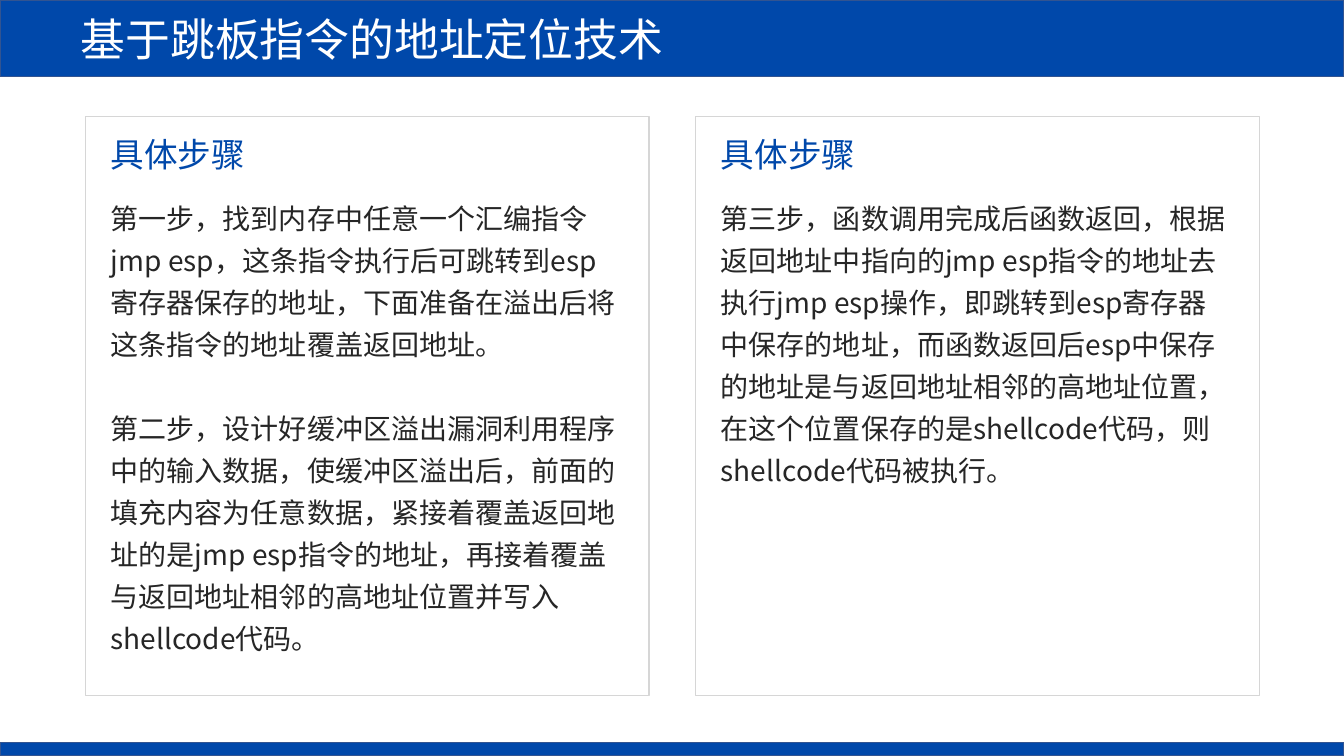
from lxml.etree import SubElement
from pptx import Presentation
from pptx.dml.color import RGBColor
from pptx.enum.shapes import MSO_SHAPE as Preset
from pptx.enum.text import MSO_ANCHOR as Anchor, MSO_AUTO_SIZE as AutoSize, PP_ALIGN as Align
from pptx.oxml.ns import qn
from pptx.util import Pt

BLUE = RGBColor(0x00, 0x48, 0xAA)
EDGE_BLUE = RGBColor(0x32, 0x54, 0x91)
PALE_GREY = RGBColor(0xD6, 0xD6, 0xD6)
DARK_GREY = RGBColor(0x26, 0x26, 0x26)
WHITE = RGBColor(0xFF, 0xFF, 0xFF)

SLIDE_WIDTH, SLIDE_HEIGHT = 960, 540
CARD_LEFT, CARD_TOP, CARD_PITCH = 61.2, 83, 435.8
CARD_WIDTH, CARD_HEIGHT = 402.5, 413.6
TEXT_INDENT = 10.8

TITLE = "基于跳板指令的地址定位技术"
HEADING = "具体步骤"
CARDS = [
    [
        "第一步，找到内存中任意一个汇编指令jmp esp，这条指令执行后可跳转到esp寄存器保存的地址，"
        "下面准备在溢出后将这条指令的地址覆盖返回地址。",
        "第二步，设计好缓冲区溢出漏洞利用程序中的输入数据，使缓冲区溢出后，前面的填充内容为任意数据，"
        "紧接着覆盖返回地址的是jmp esp指令的地址，再接着覆盖与返回地址相邻的高地址位置并写入shellcode代码。",
    ],
    [
        "第三步，函数调用完成后函数返回，根据返回地址中指向的jmp esp指令的地址去执行jmp esp操作，"
        "即跳转到esp寄存器中保存的地址，而函数返回后esp中保存的地址是与返回地址相邻的高地址位置，"
        "在这个位置保存的是shellcode代码，则shellcode代码被执行。",
    ],
]


class SlideBuilder:
    font_name = "Noto Sans CJK SC"
    line_height = Pt(30)

    def __init__(self, slide):
        self.slide = slide

    def style(self, paragraph, size, color):
        paragraph.alignment = Align.LEFT
        font = paragraph.font
        font.name = self.font_name
        font.size = Pt(size)
        font.color.rgb = color
        properties = paragraph._p.pPr.find(qn("a:defRPr"))
        SubElement(properties, qn("a:ea")).set("typeface", self.font_name)

    def rectangle(self, left, top, width, height, line, fill=None):
        shape = self.slide.shapes.add_shape(
            Preset.RECTANGLE, Pt(left), Pt(top), Pt(width), Pt(height))
        shape.shadow.inherit = False
        if fill is None:
            shape.fill.background()
        else:
            shape.fill.solid()
            shape.fill.fore_color.rgb = fill
        shape.line.color.rgb = line
        shape.line.width = Pt(1)
        return shape

    def title_bar(self, text, height):
        frame = self.rectangle(0, 0, SLIDE_WIDTH, height, EDGE_BLUE, BLUE).text_frame
        frame.vertical_anchor = Anchor.MIDDLE
        frame.margin_left = Pt(57.6)
        frame.text = text
        self.style(frame.paragraphs[0], 32, WHITE)

    def text(self, left, top, width, height, texts, size, color, wrap=True):
        box = self.slide.shapes.add_textbox(Pt(left), Pt(top), Pt(width), Pt(height))
        frame = box.text_frame
        frame.word_wrap = wrap
        frame.auto_size = AutoSize.SHAPE_TO_FIT_TEXT
        frame.text = "\n".join(texts)
        for index, paragraph in enumerate(frame.paragraphs):
            paragraph.line_spacing = self.line_height
            if index:
                paragraph.space_before = self.line_height
            self.style(paragraph, size, color)

    def card(self, left, heading, steps, body_height):
        self.rectangle(left, CARD_TOP, CARD_WIDTH, CARD_HEIGHT, PALE_GREY)
        text_left = left + TEXT_INDENT
        self.text(text_left, 90.7, 111.6, 36, [heading], 24, BLUE, wrap=False)
        self.text(text_left, 134.3, 380.2, body_height, steps, 20, DARK_GREY)


def main():
    presentation = Presentation()
    presentation.slide_width = Pt(SLIDE_WIDTH)
    presentation.slide_height = Pt(SLIDE_HEIGHT)
    builder = SlideBuilder(presentation.slides.add_slide(presentation.slide_layouts[6]))
    builder.title_bar(TITLE, 54.7)
    builder.rectangle(0, 530.6, SLIDE_WIDTH, 9.4, EDGE_BLUE, BLUE)
    for index, (steps, body_height) in enumerate(zip(CARDS, (337.7, 247))):
        builder.card(CARD_LEFT + index * CARD_PITCH, HEADING, steps, body_height)
    presentation.save("out.pptx")


if __name__ == "__main__":
    main()
